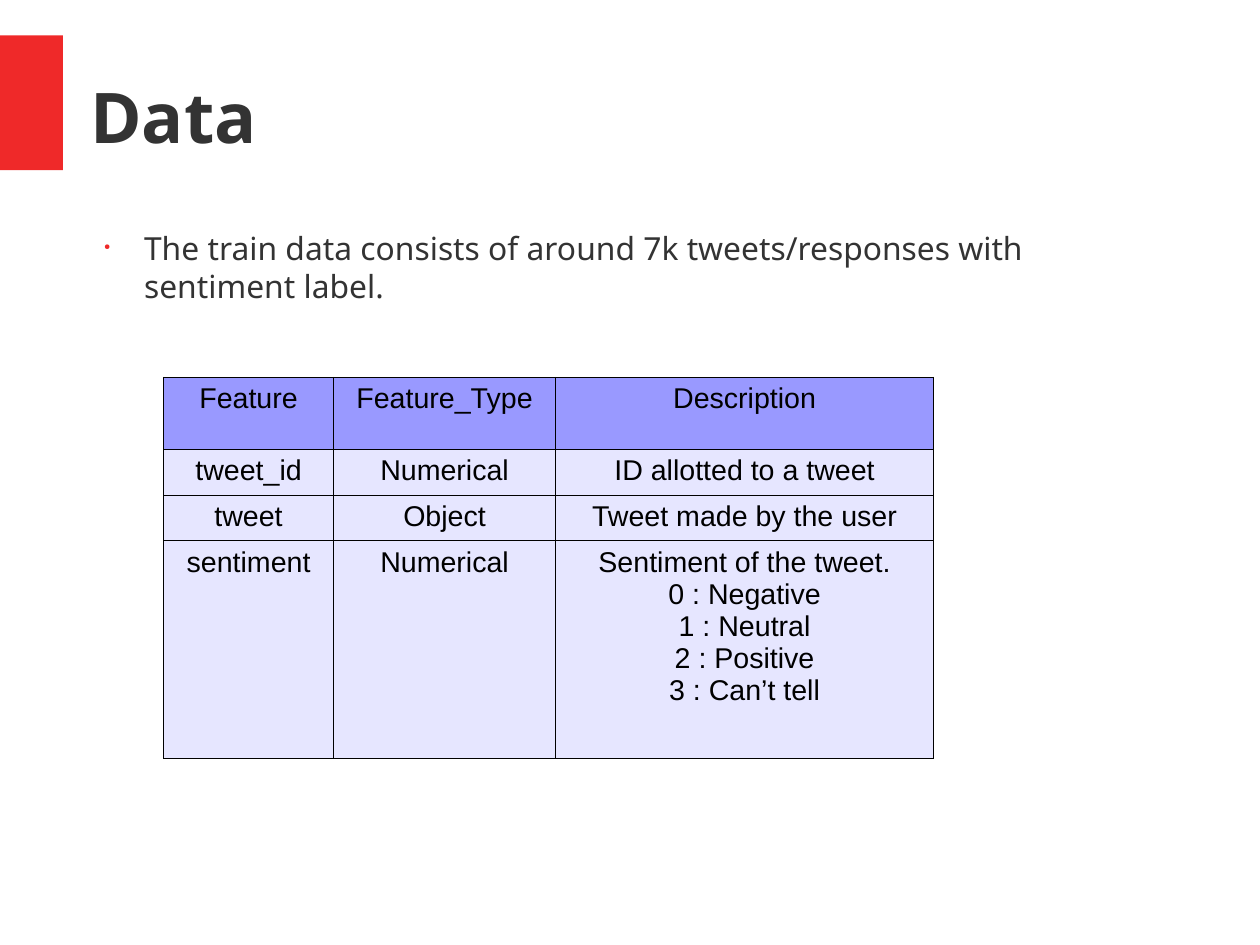
import pptx
import pptx.dml.color
import pptx.enum.shapes
import pptx.enum.text
import pptx.oxml
import pptx.oxml.ns
import pptx.util
from pptx.util import Inches

CM_PER_INCH = 2.54
RED = pptx.dml.color.RGBColor(0xEF, 0x29, 0x29)
CHARCOAL = pptx.dml.color.RGBColor(0x33, 0x33, 0x33)
BLACK = pptx.dml.color.RGBColor(0x00, 0x00, 0x00)
HEADER_FILL = pptx.dml.color.RGBColor(0x99, 0x99, 0xFF)
BODY_FILL = pptx.dml.color.RGBColor(0xE6, 0xE6, 0xFF)

TITLE_FONT = {"name": "Noto Sans", "size": pptx.util.Pt(44), "bold": True}
BODY_FONT = {"name": "Noto Sans", "size": pptx.util.Pt(20)}
CELL_FONT = {"name": "Arial", "size": pptx.util.Pt(18)}
NO_INSETS = {"margin_left": 0, "margin_top": 0, "margin_right": 0, "margin_bottom": 0}
CELL_INSETS = {
    "margin_left": Inches(0.01), "margin_top": Inches(0.05),
    "margin_right": Inches(0.01), "margin_bottom": Inches(0.05),
}
COLUMN_WIDTHS = [1.49, 1.94, 3.31]
ROW_HEIGHTS = [0.63, 0.4, 0.4, 1.9]
FEATURES = [
    ["Feature", "Feature_Type", "Description"],
    ["tweet_id", "Numerical", "ID allotted to a tweet"],
    ["tweet", "Object", "Tweet made by the user"],
    ["sentiment", "Numerical",
     "Sentiment of the tweet.\v0 : Negative\v1 : Neutral\v2 : Positive\v3 : Can’t tell"],
]


def apply_format(target, values):
    for name, value in values.items():
        setattr(target, name, value)


def add_xml(parent, markup):
    namespace = pptx.oxml.ns.nsdecls("a")
    parent.append(pptx.oxml.parse_xml(markup.replace(" ", f" {namespace} ", 1)))


def add_text(page, box, text, font, color, anchor):
    """Add a wrapped text box without insets and return its paragraph."""
    frame = page.shapes.add_textbox(*map(Inches, box)).text_frame
    apply_format(frame, {**NO_INSETS, "word_wrap": True, "vertical_anchor": anchor})
    para = frame.paragraphs[0]
    span = para.add_run()
    span.text = text
    apply_format(span.font, font)
    span.font.color.rgb = color
    return para


def add_heading(page, box, text):
    """Add the title with the red marker at the slide edge."""
    left, top, width, height = box
    marker = page.shapes.add_shape(
        pptx.enum.shapes.MSO_SHAPE.RECTANGLE,
        0, Inches(top), Inches(0.55), Inches(height))
    marker.shadow.inherit = False
    marker.fill.solid()
    marker.fill.fore_color.rgb = RED
    marker.line.fill.background()
    add_text(page, (left, top + 0.34, width, 0.73), text, TITLE_FONT, CHARCOAL,
             pptx.enum.text.MSO_ANCHOR.MIDDLE)


def add_bullet(page, box, text):
    para = add_text(page, box, text, BODY_FONT, CHARCOAL, pptx.enum.text.MSO_ANCHOR.TOP)
    properties = para._p.get_or_add_pPr()
    properties.set("marL", str(Inches(0.47)))
    properties.set("indent", str(Inches(-0.35)))
    add_xml(properties, f'<a:buClr ><a:srgbClr val="{RED}"/></a:buClr>')
    add_xml(properties, '<a:buSzPct val="25000"/>')
    add_xml(properties, '<a:buChar char="●"/>')


def format_cell(cell, text, fill):
    properties = cell._tc.get_or_add_tcPr()
    for side in ("lnL", "lnR", "lnT", "lnB"):
        add_xml(properties, f'<a:{side} w="{pptx.util.Pt(0.5)}"><a:solidFill>'
                            f'<a:srgbClr val="{BLACK}"/></a:solidFill></a:{side}>')
    cell.fill.solid()
    cell.fill.fore_color.rgb = fill
    apply_format(cell, CELL_INSETS)
    cell.text = text
    para = cell.text_frame.paragraphs[0]
    para.alignment = pptx.enum.text.PP_ALIGN.CENTER
    for span in para.runs:
        apply_format(span.font, CELL_FONT)
        span.font.color.rgb = BLACK


def add_feature_table(page, left, top):
    table = page.shapes.add_table(
        len(FEATURES), len(COLUMN_WIDTHS), Inches(left), Inches(top),
        Inches(sum(COLUMN_WIDTHS)), Inches(sum(ROW_HEIGHTS))).table
    apply_format(table, {"first_row": False, "horz_banding": False})
    for column, width in zip(table.columns, COLUMN_WIDTHS):
        column.width = Inches(width)
    for index, (row, height) in enumerate(zip(table.rows, ROW_HEIGHTS)):
        row.height = Inches(height)
        fill = BODY_FILL if index else HEADER_FILL
        for cell, text in zip(row.cells, FEATURES[index]):
            format_cell(cell, text, fill)


def main():
    deck = pptx.Presentation()
    deck.slide_width = Inches(28 / CM_PER_INCH)
    deck.slide_height = Inches(21 / CM_PER_INCH)
    page = deck.slides.add_slide(deck.slide_layouts[6])
    add_heading(page, (0.79, 0.31, 9.68, 1.18), "Data")
    add_bullet(page, (0.79, 2, 9.45, 0.7),
               "The train data consists of around 7k tweets/responses with sentiment label.")
    add_feature_table(page, 1.43, 3.3)
    deck.save("out.pptx")


if __name__ == "__main__":
    main()
